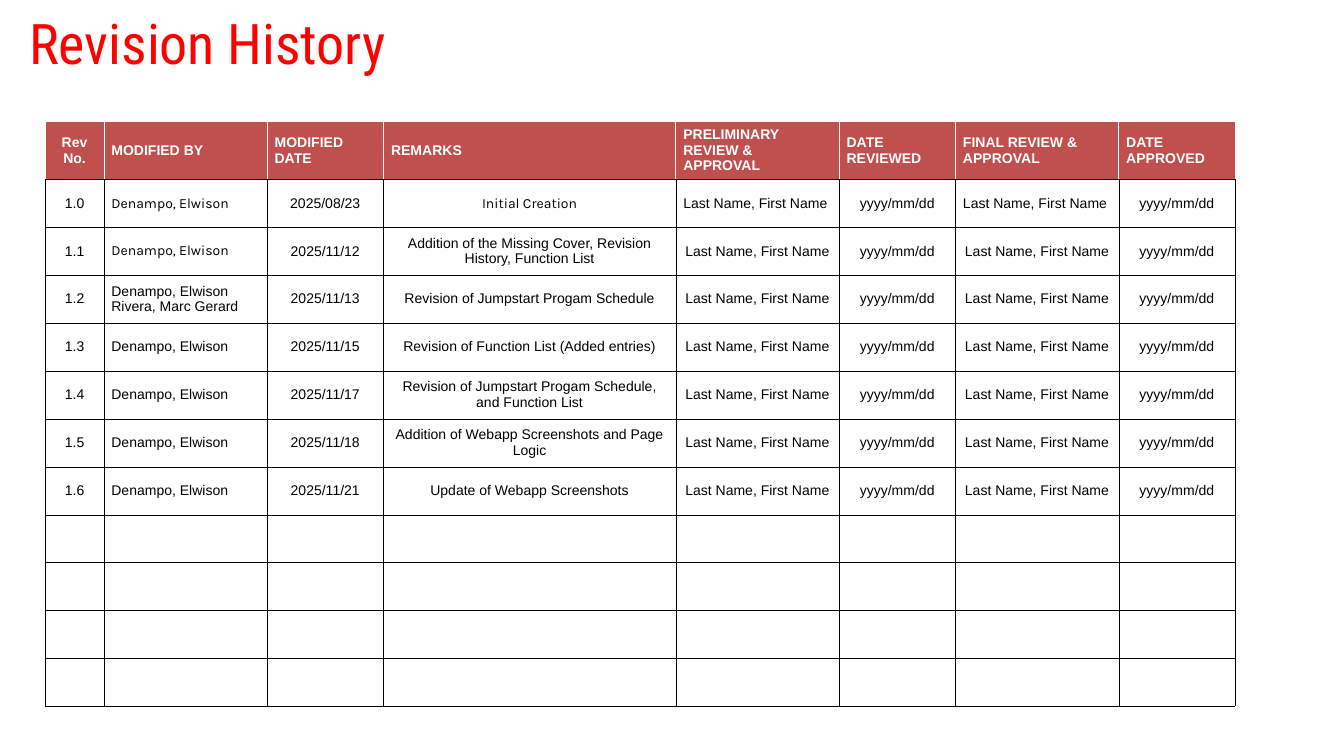
import pptx
import pptx.dml.color
import pptx.enum.text
import pptx.oxml
import pptx.oxml.ns
import pptx.util
from pptx.util import Inches

ALIGN = pptx.enum.text.PP_ALIGN
MIDDLE = pptx.enum.text.MSO_ANCHOR.MIDDLE
RED, BRICK, WHITE, BLACK = "FF0000", "C0504D", "FFFFFF", "000000"

WIDTHS = [1.16, 3.24, 2.31, 5.8, 3.24, 2.31, 3.24, 2.31]
HEAD_H, ROW_H = 1.15, 0.95
BLANKS = 4
HEADS = ["Rev No.", "MODIFIED BY", "MODIFIED DATE", "REMARKS",
         "PRELIMINARY REVIEW & APPROVAL", "DATE REVIEWED",
         "FINAL REVIEW & APPROVAL", "DATE APPROVED"]
AUTHOR = "Denampo, Elwison"
REVIEW = ["Last Name, First Name", "yyyy/mm/dd"] * 2
EDITS = [
    ("1.0", AUTHOR, "2025/08/23", "Initial Creation"),
    ("1.1", AUTHOR, "2025/11/12",
     "Addition of the Missing Cover, Revision History, Function List"),
    ("1.2", AUTHOR + "\nRivera, Marc Gerard", "2025/11/13",
     "Revision of Jumpstart Progam Schedule"),
    ("1.3", AUTHOR, "2025/11/15", "Revision of Function List (Added entries)"),
    ("1.4", AUTHOR, "2025/11/17",
     "Revision of Jumpstart Progam Schedule, and Function List"),
    ("1.5", AUTHOR, "2025/11/18",
     "Addition of Webapp Screenshots and Page Logic"),
    ("1.6", AUTHOR, "2025/11/21", "Update of Webapp Screenshots"),
]
KARLA = {(1, 1), (1, 3), (2, 1)}  # (row, column) of cells set in Karla
LEFT = {(1, 4), (1, 6)}  # reviewer names that are not centred


def color(code):
    return pptx.dml.color.RGBColor.from_string(code)


def add_run(para, text, size, face, code, bold=False):
    run = para.add_run()
    run.text = text
    font = run.font
    font.size, font.name, font.bold = pptx.util.Pt(size), face, bold
    font.color.rgb = color(code)


def set_edges(cell, edges):
    """Draw cell borders; edges lists (side, colour, points) as L, R, T, B."""
    props = cell._tc.get_or_add_tcPr()
    for i, (side, code, width) in enumerate(edges):
        props.insert(i, pptx.oxml.parse_xml(
            f'<a:ln{side} {pptx.oxml.ns.nsdecls("a")} '
            f'w="{int(pptx.util.Pt(width))}">'
            f'<a:solidFill><a:srgbClr val="{code}"/></a:solidFill>'
            f'</a:ln{side}>'))


def fill_cell(cell, text, row, col):
    head = row == 0
    cell.fill.solid()
    cell.fill.fore_color.rgb = color(BRICK if head else WHITE)
    cell.vertical_anchor = MIDDLE
    cell.margin_left = cell.margin_right = Inches(0.15)
    cell.margin_top = cell.margin_bottom = Inches(0.07)
    line = (WHITE, 1) if head else (BLACK, 0.25)
    set_edges(cell, [(side, *line) for side in "LRT"] + [("B", BLACK, 0.25)])
    if not text:
        return
    plain = (head and col > 0) or col == 1 or (row, col) in LEFT
    face = "Karla" if (row, col) in KARLA else "Arial"
    for i, part in enumerate(text.split("\n")):
        frame = cell.text_frame
        para = frame.add_paragraph() if i else frame.paragraphs[0]
        para.alignment = ALIGN.LEFT if plain else ALIGN.CENTER
        add_run(para, part, 20, face, WHITE if head else BLACK, head)


def set_title(slide, text):
    title = slide.shapes.title
    title.left, title.top = Inches(0.58), Inches(0.22)
    title.width, title.height = Inches(24.25), Inches(1.4)
    frame = title.text_frame
    frame.margin_left = frame.margin_right = 0
    frame.margin_top = frame.margin_bottom = 0
    frame.vertical_anchor = MIDDLE
    frame.auto_size = pptx.enum.text.MSO_AUTO_SIZE.NONE
    frame.word_wrap = True
    para = frame.paragraphs[0]
    para.alignment, para.line_spacing = ALIGN.LEFT, 0.9
    add_run(para, text, 80, "Roboto Condensed", RED)


def add_history(slide):
    rows = [HEADS] + [[*edit, *REVIEW] for edit in EDITS]
    rows += [[""] * len(HEADS)] * BLANKS
    height = HEAD_H + ROW_H * (len(rows) - 1)
    table = slide.shapes.add_table(
        len(rows), len(HEADS), Inches(0.9), Inches(2.41),
        Inches(sum(WIDTHS)), Inches(height)).table
    table.horz_banding = False
    for col, width in zip(table.columns, WIDTHS):
        col.width = Inches(width)
    for r, texts in enumerate(rows):
        table.rows[r].height = Inches(ROW_H if r else HEAD_H)
        for c, text in enumerate(texts):
            fill_cell(table.cell(r, c), text, r, c)


def main():
    deck = pptx.Presentation()
    deck.slide_width, deck.slide_height = Inches(26.67), Inches(15)
    slide = deck.slides.add_slide(deck.slide_layouts[5])
    set_title(slide, "Revision History")
    add_history(slide)
    deck.save("out.pptx")


if __name__ == "__main__":
    main()
